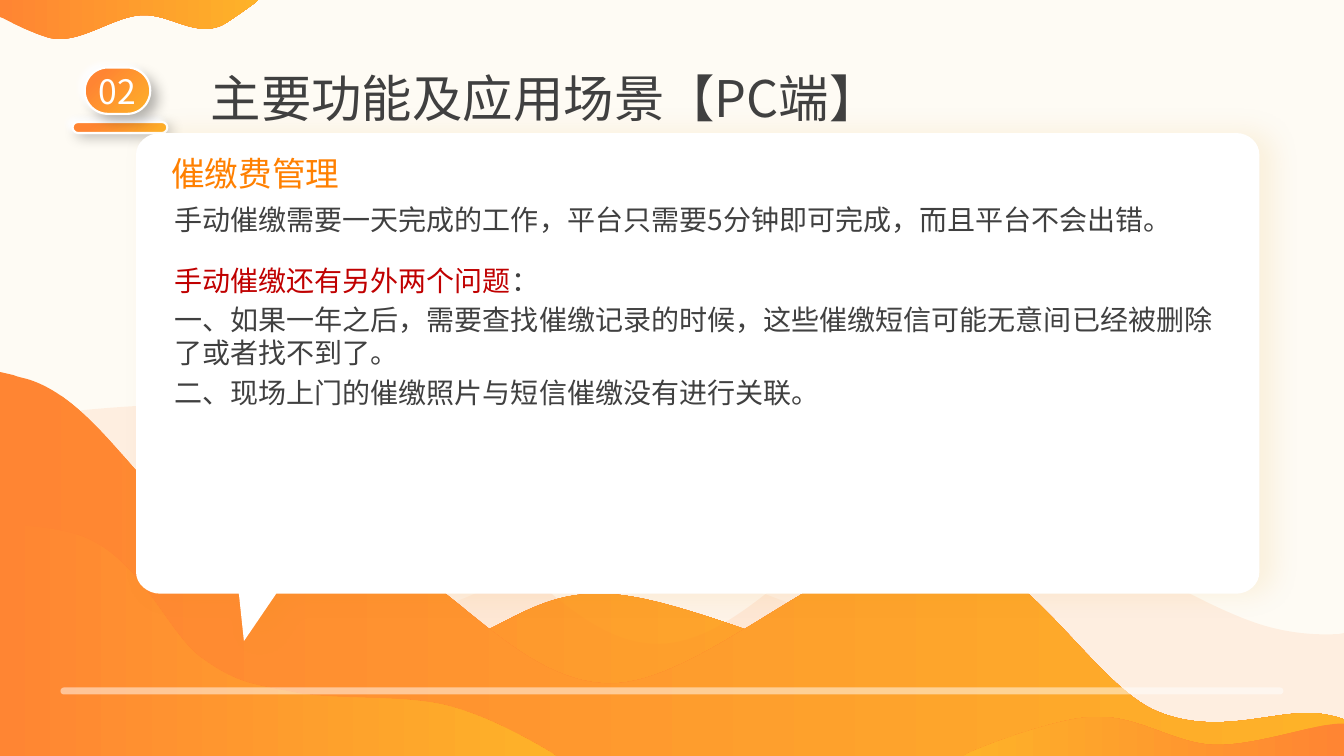
from lxml import etree
from pptx import Presentation
from pptx import util as u
from pptx.dml import color
from pptx.enum import shapes, text
from pptx.oxml import ns

FONT = "Noto Sans CJK SC"
ORANGE, AMBER, WHITE, GREY = "FF8533", "FEB228", "FFFFFF", "404040"

# Outlines in inches: two numbers are a corner, six are a Bézier curve
BACK_HILL = [
    (5.97, 5.89), (6.09, 5.89, 6.23, 5.91, 6.38, 5.94),
    (7.19, 6.11, 9, 6.83, 10.08, 7.4), (10.26, 7.5), (0, 7.5), (0, 6.11),
    (0.2, 6.12), (1.27, 6.18, 2.96, 6.55, 3.83, 6.52),
    (4.85, 6.48, 5.13, 5.87, 5.97, 5.89)]
PALE_WAVE = [
    (1.98, 4.01), (2.4, 4.02, 2.8, 4.05, 3.12, 4.13),
    (4.43, 4.45, 5.37, 6.26, 6.4, 6.38), (7.42, 6.51, 8.25, 4.92, 9.29, 4.89),
    (10.34, 4.87, 11.78, 6.05, 12.67, 6.24),
    (12.89, 6.29, 13.09, 6.3, 13.28, 6.29), (13.33, 6.28), (13.33, 7.5),
    (0, 7.5), (0, 4.17), (0.04, 4.17), (0.66, 4.07, 1.35, 4.01, 1.98, 4.01)]
MAIN_WAVE = [
    (0, 3.69), (0.13, 3.72), (0.18, 3.74, 0.23, 3.75, 0.27, 3.76),
    (0.97, 3.97, 1.43, 4.97, 2.02, 5.26), (2.61, 5.55, 3.14, 5.25, 3.81, 5.51),
    (4.49, 5.76, 5.18, 6.8, 6.08, 6.78), (6.99, 6.76, 8.35, 5.36, 9.25, 5.4),
    (10.15, 5.45, 10.81, 6.76, 11.46, 7.05), (12.11, 7.33, 12.7, 7, 13.15, 7.09),
    (13.2, 7.1, 13.26, 7.11, 13.31, 7.13), (13.33, 7.14), (13.33, 7.5), (0, 7.5)]
LEFT_WAVE = [
    (0, 5.21), (0.12, 5.21), (0.37, 5.22, 0.58, 5.25, 0.75, 5.3),
    (1.39, 5.5, 1.64, 6.27, 2, 6.53), (2.36, 6.79, 2.52, 6.79, 2.92, 6.87),
    (3.33, 6.95, 3.99, 6.89, 4.43, 7), (4.82, 7.1, 5.2, 7.31, 5.47, 7.47),
    (5.51, 7.5), (0, 7.5)]
RIGHT_WAVE = [
    (9.56, 7.5), (13.33, 7.5), (13.33, 7.18),
    (13.09, 7.16, 12.48, 7.4, 12.05, 7.39), (11.62, 7.38, 11.24, 7.05, 10.75, 7.12),
    (10.48, 7.15, 9.98, 7.31, 9.61, 7.47)]
TOP_WAVE = [
    (0, 0), (2.56, 0), (2.54, 0.02), (2.42, 0.11, 2.3, 0.19, 2.24, 0.23),
    (1.96, 0.4, 1.69, 0.13, 1.4, 0.15), (1.1, 0.17, 0.77, 0.46, 0.47, 0.37),
    (0.37, 0.34, 0.2, 0.27, 0.03, 0.18), (0, 0.17)]
SPEECH_PANEL = [
    (1.59, 1.32), (12.26, 1.32), (12.39, 1.32, 12.49, 1.42, 12.49, 1.53),
    (12.49, 5.68), (12.49, 5.79, 12.39, 5.89, 12.26, 5.89), (2.74, 5.89),
    (2.42, 6.36), (2.37, 5.89), (1.59, 5.89),
    (1.46, 5.89, 1.35, 5.79, 1.35, 5.68), (1.35, 1.53),
    (1.35, 1.42, 1.46, 1.32, 1.59, 1.32)]


def rgb(value):
    return color.RGBColor.from_string(value)


def add_child(parent, tag, **attributes):
    child = etree.SubElement(parent, ns.qn(tag))
    for name, value in attributes.items():
        child.set(name, str(value))
    return child


def bend(shape, outline):
    """Turn the straight sides that stand for curves into Bézier curves."""
    sides = shape._element.spPr.findall(".//" + ns.qn("a:lnTo"))
    for side, step in zip(sides, outline[1:]):
        if len(step) == 6:
            curve = etree.Element(ns.qn("a:cubicBezTo"))
            for x, y in zip(step[::2], step[1::2]):
                add_child(curve, "a:pt", x=u.Inches(x) - shape.left, y=u.Inches(y) - shape.top)
            side.getparent().replace(side, curve)


def write(para, content, size=20, ink=GREY):
    span = para.add_run()
    span.text = content
    span.font.size = u.Pt(size)
    span.font.name = FONT
    span.font.color.rgb = rgb(ink)
    add_child(span.font._element, "a:ea", typeface=FONT)


class SlideBuilder:
    def __init__(self, page):
        self.page = page

    def style(self, shape, fill=None, alpha=100, angle=0, radial=False, line=None, shadow=None):
        """Without a fill colour the shape takes the orange gradient."""
        shape.shadow.inherit = False
        if fill:
            shape.fill.solid()
            shape.fill.fore_color.rgb = rgb(fill)
            if alpha < 100:
                tint = shape._element.spPr.find(".//" + ns.qn("a:srgbClr"))
                add_child(tint, "a:alpha", val=alpha * 1000)
        else:
            self.gradient(shape, angle, radial)
        if line:
            shape.line.color.rgb = rgb(line)
            shape.line.width = u.Pt(1.5)
        else:
            shape.line.fill.background()
        if shadow:
            tone, opacity, blur, distance, direction = shadow
            effects = shape._element.spPr.find(ns.qn("a:effectLst"))
            outer = add_child(effects, "a:outerShdw", blurRad=u.Pt(blur), dist=u.Pt(distance),
                              dir=direction * 60000, algn="ctr", rotWithShape=0)
            tint = add_child(outer, "a:srgbClr", val=tone)
            add_child(tint, "a:alpha", val=opacity * 1000)

    def gradient(self, shape, angle, radial):
        shape.fill.gradient()
        shape.fill.gradient_angle = angle
        tones = (AMBER, ORANGE) if radial else (ORANGE, AMBER)
        ends = (0, 0.8) if radial else (0, 1)
        for stop, tone, end in zip(shape.fill.gradient_stops, tones, ends):
            stop.color.rgb = rgb(tone)
            stop.position = end
        if radial:
            linear = shape._element.spPr.find(".//" + ns.qn("a:lin"))
            circle = etree.Element(ns.qn("a:path"), path="circle")
            add_child(circle, "a:fillToRect", l=100000, t=100000)
            linear.getparent().replace(linear, circle)

    def wave(self, outline, rise=0, **look):
        corners = [(u.Inches(step[-2]), u.Inches(step[-1])) for step in outline]
        builder = self.page.shapes.build_freeform(*corners[0], scale=1.0)
        builder.add_line_segments(corners[1:], close=True)
        shape = builder.convert_to_shape()
        bend(shape, outline)
        shape.top -= u.Inches(rise)
        self.style(shape, **look)

    def bar(self, left, top, width, height, roundness=0.5, **look):
        shape = self.page.shapes.add_shape(
            shapes.MSO_SHAPE.ROUNDED_RECTANGLE,
            u.Inches(left), u.Inches(top), u.Inches(width), u.Inches(height))
        shape.adjustments[0] = roundness
        self.style(shape, **look)

    def badge(self, left, top, width, height, drop):
        """A pill with a dark shadow below and a light one above."""
        self.bar(left, top, width, height, fill=AMBER, shadow=("000000", 30, 10, drop, 45))
        self.bar(left, top, width, height, radial=True, line=WHITE,
                 shadow=(WHITE, 100, 4, 4, 220))

    def words(self, left, top, width, height, paragraphs, centred=False, spacing=None, **look):
        """Each paragraph is a list of (content, own format) pairs."""
        box = self.page.shapes.add_textbox(
            u.Inches(left), u.Inches(top), u.Inches(width), u.Inches(height))
        frame = box.text_frame
        frame.word_wrap = True
        frame.margin_left = frame.margin_right = frame.margin_top = frame.margin_bottom = 0
        for i, spans in enumerate(paragraphs):
            para = frame.add_paragraph() if i else frame.paragraphs[0]
            if i:
                para.space_before = u.Pt(4)
            if centred:
                para.alignment = text.PP_ALIGN.CENTER
            if spacing:
                para.line_spacing = spacing
            for content, own in spans:
                write(para, content, **{**look, **own})


def main():
    deck = Presentation()
    deck.slide_width, deck.slide_height = u.Inches(13.33), u.Inches(7.5)
    slide = SlideBuilder(deck.slides.add_slide(deck.slide_layouts[6]))

    # Background waves
    slide.wave(BACK_HILL, rise=0.42, fill="FFE7D6", alpha=30)
    slide.bar(0, 0, 13.33, 7.5, roundness=0, fill=AMBER, alpha=5)
    slide.wave(BACK_HILL)
    slide.wave(PALE_WAVE, fill=ORANGE, alpha=10)
    slide.wave(MAIN_WAVE)
    slide.wave(LEFT_WAVE)
    slide.badge(0.72, 1.21, 0.94, 0.11, drop=4)
    slide.bar(0.6, 6.82, 12.13, 0.07, fill=WHITE, alpha=50)
    slide.wave(RIGHT_WAVE, angle=180)
    slide.wave(TOP_WAVE)

    # Speech panel
    slide.wave(SPEECH_PANEL, fill=WHITE, shadow=("DB8E01", 10, 20, 10, 0))
    slide.words(1.7, 1.52, 2.77, 0.4, [[("催缴费管理", {})]], size=24, ink="FF8000")

    # Title and section number
    slide.words(2.09, 0.73, 7.95, 1.09, [[("主要功能及应用场景【PC端】", {})]],
                size=36, spacing=0.9)
    slide.badge(0.84, 0.67, 0.65, 0.46, drop=7)
    slide.words(0.88, 0.7, 0.57, 0.4, [[("02", {})]], centred=True, size=24, ink=WHITE)

    # Body text
    slide.words(1.73, 2.01, 10.44, 0.34, [
        [("手动催缴需要一天完成的工作，平台只需要5分钟即可完成，而且平台不会出错。", {})]])
    slide.words(1.73, 2.61, 10.44, 1.88, [
        [("手动催缴还有另外两个问题", {"ink": "C00000"}), ("：", {})],
        [("一、如果一年之后，需要查找催缴记录的时候，这些催缴短信可能无意间已经被删除了或者找不到了。", {})],
        [("二、现场上门的催缴照片与短信催缴没有进行关联。", {})]])

    deck.save("out.pptx")


if __name__ == "__main__":
    main()
